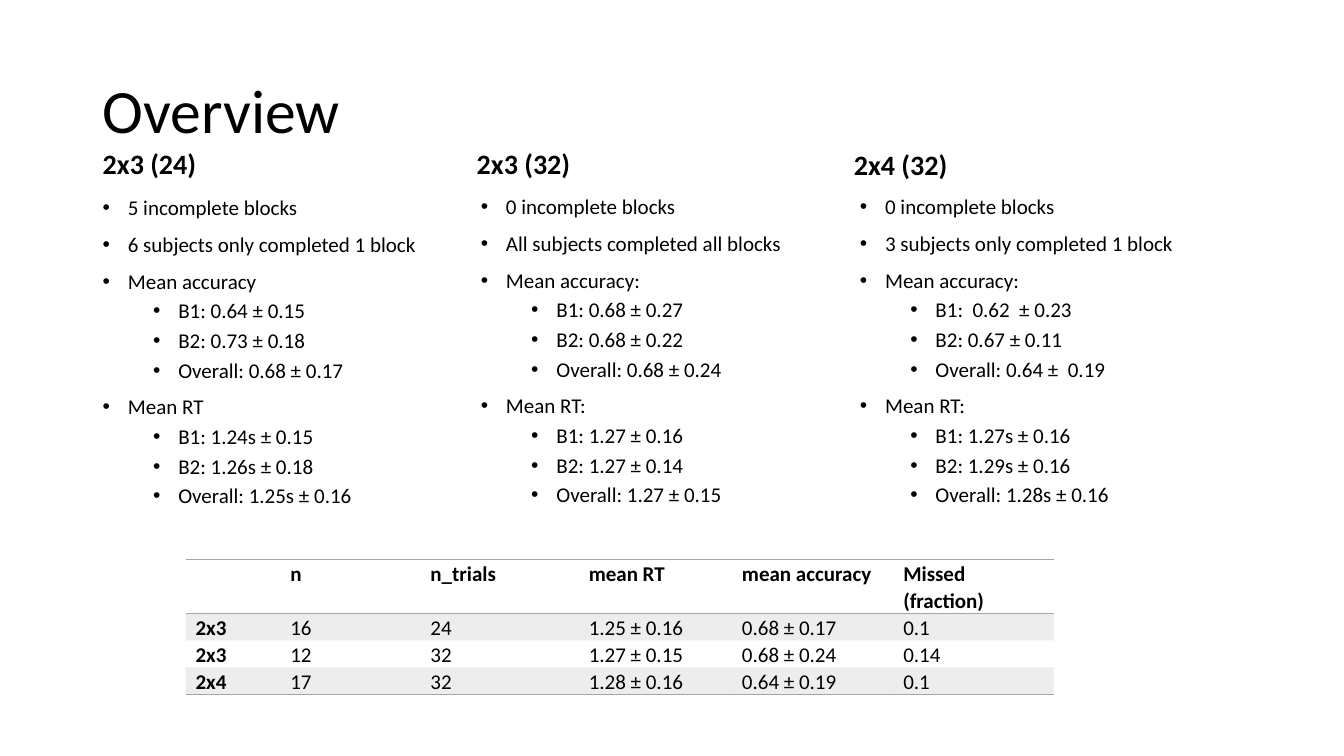
from lxml.etree import SubElement
from pptx import Presentation
from pptx.dml.color import RGBColor
from pptx.enum.text import MSO_ANCHOR as Anchor, PP_ALIGN as Align
from pptx.oxml.ns import qn
from pptx.util import Emu, Pt

COLORS = {"text": "000000", "gray": "A5A5A5"}
PLAIN_TABLE = "{2D5ABB26-0587-4C30-8999-92F81FD0307C}"

# Column content: heading box, list box, and list groups
COLUMNS = [
    ("2x3 (24)", (92, 136, 365, 48), (92, 191, 365, 331), [
        ("5 incomplete blocks", []),
        ("6 subjects only completed 1 block", []),
        ("Mean accuracy", ["B1: 0.64 ± 0.15", "B2: 0.73 ± 0.18", "Overall: 0.68 ± 0.17"]),
        ("Mean RT", ["B1: 1.24s ± 0.15", "B2: 1.26s ± 0.18", "Overall: 1.25s ± 0.16"]),
    ]),
    ("2x3 (32)", (463, 134, 364, 50), (467, 190, 365, 332), [
        ("0 incomplete blocks", []),
        ("All subjects completed all blocks", []),
        ("Mean accuracy:", ["B1: 0.68 ± 0.27", "B2: 0.68 ± 0.22", "Overall: 0.68 ± 0.24"]),
        ("Mean RT:", ["B1: 1.27 ± 0.16", "B2: 1.27 ± 0.14", "Overall: 1.27 ± 0.15"]),
    ]),
    ("2x4 (32)", (837, 136, 395, 49), (843, 190, 365, 332), [
        ("0 incomplete blocks", []),
        ("3 subjects only completed 1 block", []),
        ("Mean accuracy:", ["B1:  0.62  ± 0.23", "B2: 0.67 ± 0.11", "Overall: 0.64 ±  0.19"]),
        ("Mean RT:", ["B1: 1.27s ± 0.16", "B2: 1.29s ± 0.16", "Overall: 1.28s ± 0.16"]),
    ]),
]

SUMMARY = [
    ["", "n", "n_trials", "mean RT", "mean accuracy", "Missed (fraction)"],
    ["2x3", "16", "24", "1.25 ± 0.16", "0.68 ± 0.17", "0.1"],
    ["2x3", "12", "32", "1.27 ± 0.15", "0.68 ± 0.24", "0.14"],
    ["2x4", "17", "32", "1.28 ± 0.16", "0.64 ± 0.19", "0.1"],
]


def px(length):
    return Emu(length * 9144)


class OverviewPage:
    font = "Calibri"

    def __init__(self, deck):
        self.page = deck.slides.add_slide(deck.slide_layouts[5])

    def style(self, para, size, bold=False, line=0.9, before=0):
        para.alignment = Align.LEFT
        para.line_spacing = line
        para.space_before = Pt(before)
        para.font.name = self.font
        para.font.size = Pt(size)
        para.font.bold = bold
        para.font.color.rgb = RGBColor.from_string(COLORS["text"])

    def title(self, text, bounds):
        box = self.page.shapes.title
        box.left, box.top, box.width, box.height = map(px, bounds)
        box.text_frame.text = text
        box.text_frame.vertical_anchor = Anchor.MIDDLE
        self.style(box.text_frame.paragraphs[0], 44)

    def text_frame(self, bounds, anchor):
        frame = self.page.shapes.add_textbox(*map(px, bounds)).text_frame
        frame.word_wrap = True
        frame.vertical_anchor = anchor
        return frame

    def heading(self, text, bounds):
        frame = self.text_frame(bounds, Anchor.BOTTOM)
        frame.text = text
        self.style(frame.paragraphs[0], 20, bold=True, before=10)

    def bullets(self, groups, bounds):
        frame = self.text_frame(bounds, Anchor.TOP)
        items = [(text, level) for main, details in groups
                 for text, level in [(main, 0)] + [(detail, 1) for detail in details]]
        frame.text = "\n".join(text for text, _ in items)
        for para, (_, level) in zip(frame.paragraphs, items):
            para.level = level
            self.style(para, 15, before=5 if level else 10)
            props = para._p.get_or_add_pPr()
            props.set("marL", str(px(75 if level else 25)))
            props.set("indent", str(px(-25)))
            face = props.makeelement(qn("a:buFont"), {"typeface": "Arial"})
            mark = props.makeelement(qn("a:buChar"), {"char": "•"})
            defaults = props.find(qn("a:defRPr"))
            defaults.addprevious(face)
            defaults.addprevious(mark)

    def border(self, cell, side):
        line = SubElement(cell._tc.get_or_add_tcPr(), qn(f"a:{side}"), w=str(Pt(1)))
        fill = SubElement(line, qn("a:solidFill"))
        SubElement(fill, qn("a:srgbClr"), val=COLORS["gray"])

    def shade(self, cell):
        cell.fill.solid()
        cell.fill.fore_color.rgb = RGBColor.from_string(COLORS["gray"])
        color = cell._tc.tcPr.find(qn("a:solidFill")).find(qn("a:srgbClr"))
        SubElement(color, qn("a:alpha"), val="20000")

    def table(self, rows, bounds, widths, heights):
        frame = self.page.shapes.add_table(len(rows), len(widths), *map(px, bounds))
        table = frame.table
        table.horz_banding = False
        table.first_row = False
        next(frame._element.iter(qn("a:tableStyleId"))).text = PLAIN_TABLE
        for column, width in zip(table.columns, widths):
            column.width = px(width)
        for row, height in zip(table.rows, heights):
            row.height = px(height)
        for r, row in enumerate(rows):
            for c, text in enumerate(row):
                cell = table.cell(r, c)
                cell.margin_left = cell.margin_right = px(10)
                cell.margin_top = cell.margin_bottom = 0
                cell.text = text
                self.style(cell.text_frame.paragraphs[0], 15,
                           bold=r == 0 or c == 0, line=1.07)
                # Rules above and below the header, and below the last row
                if r == 0:
                    self.border(cell, "lnT")
                if r in (0, len(rows) - 1):
                    self.border(cell, "lnB")
                # Shade every other data row
                if r % 2:
                    self.shade(cell)
                else:
                    cell.fill.background()


def main():
    deck = Presentation()
    deck.slide_width, deck.slide_height = px(1333), px(750)
    overview = OverviewPage(deck)

    # Title
    overview.title("Overview", (92, 40, 1150, 145))

    # Three condition columns
    for name, heading_bounds, list_bounds, groups in COLUMNS:
        overview.heading(name, heading_bounds)
        overview.bullets(groups, list_bounds)

    # Summary table
    overview.table(SUMMARY, (184, 555, 861, 134),
                   widths=[94, 139, 157, 152, 160, 159], heights=[52, 26, 26, 26])

    deck.save("out.pptx")


if __name__ == "__main__":
    main()
